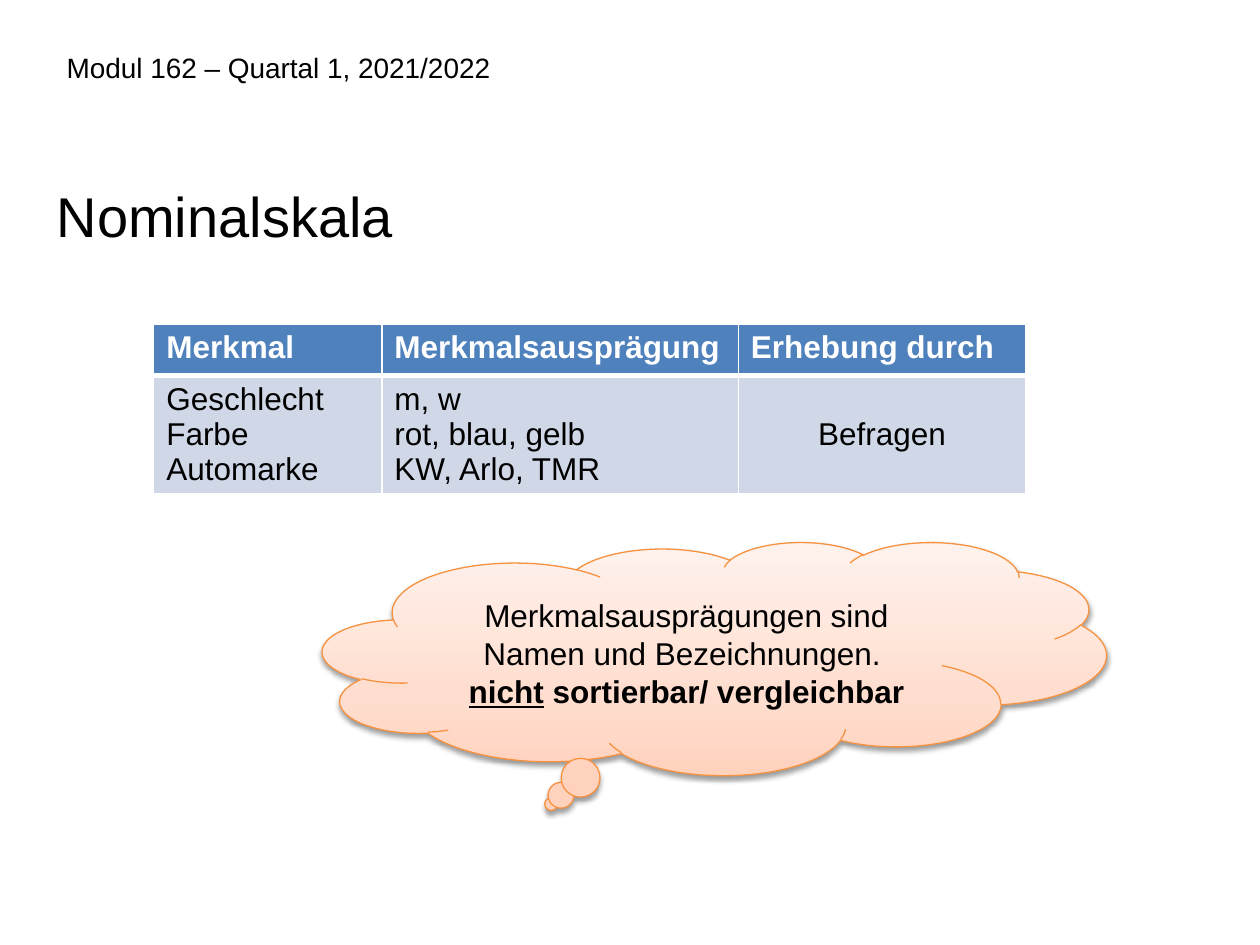
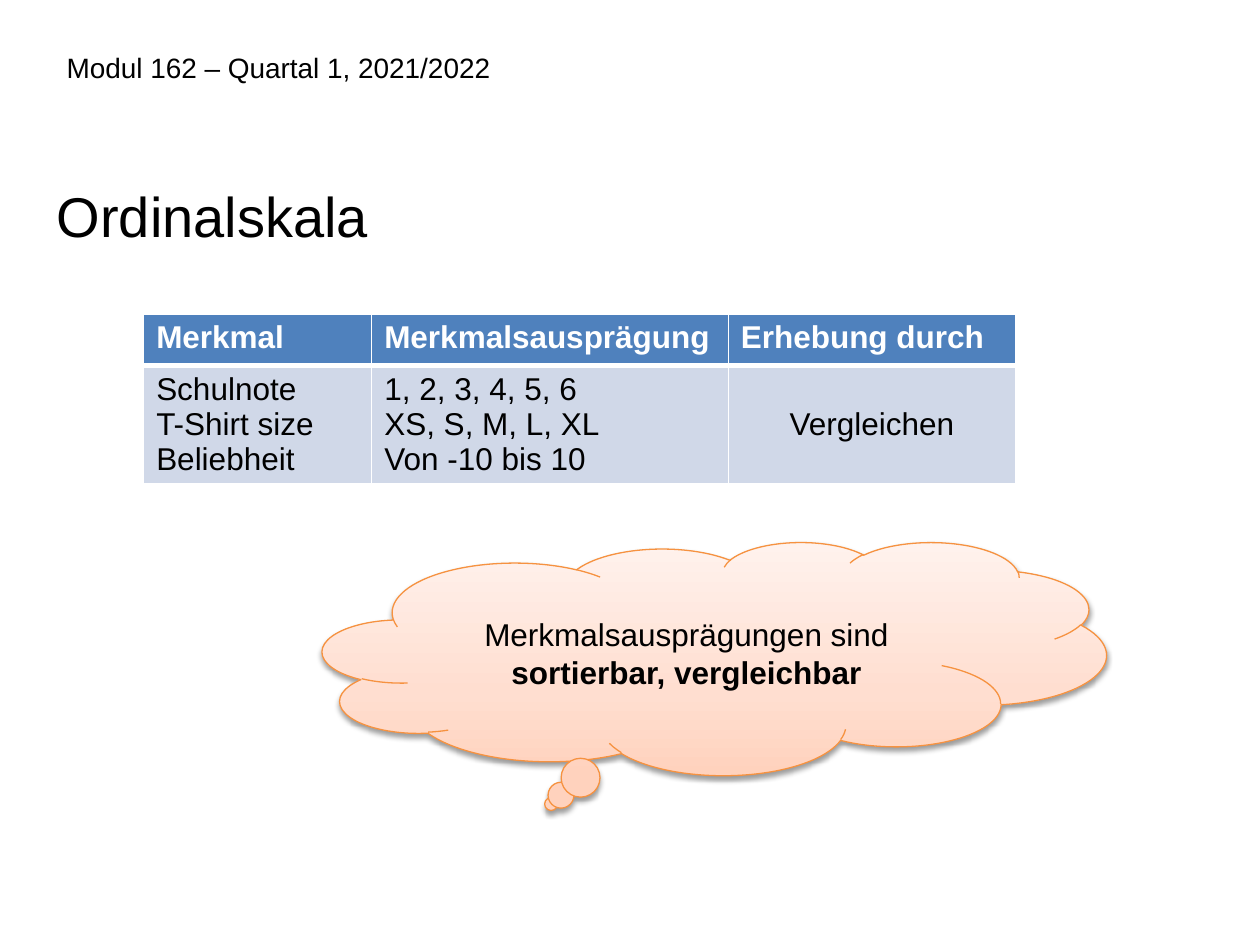
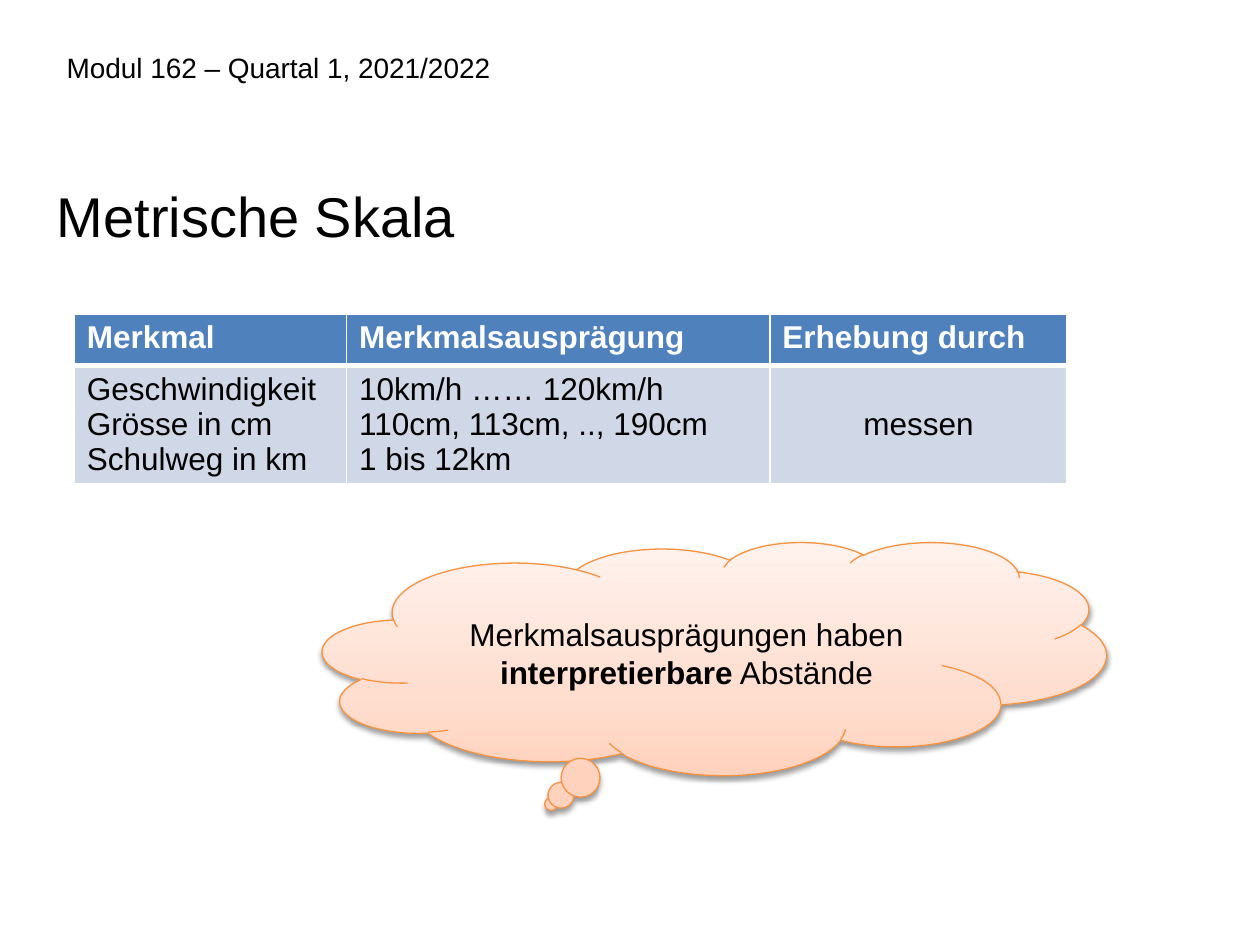
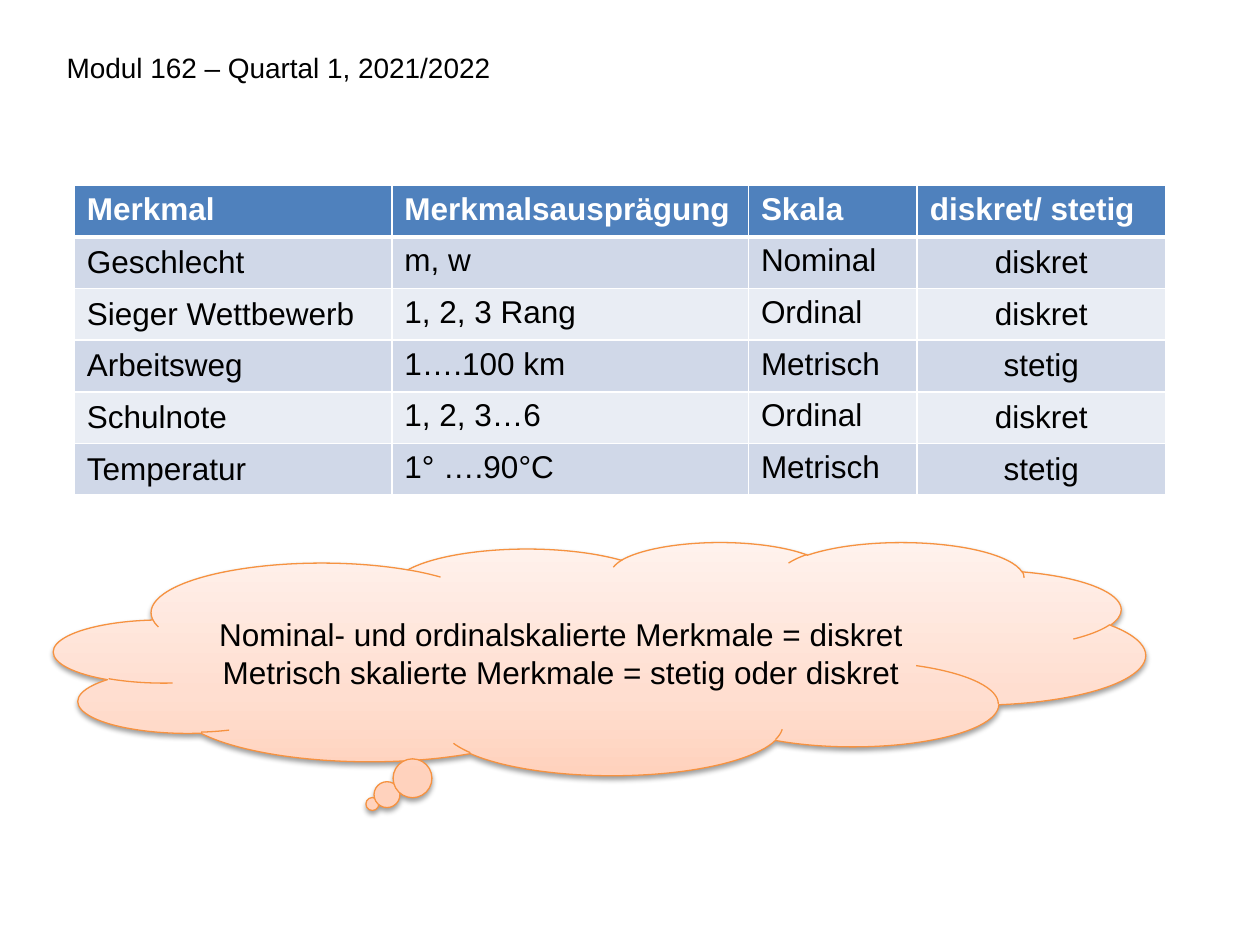
from pptx import Presentation
from pptx.dml.color import RGBColor
from pptx.enum.shapes import MSO_SHAPE
from pptx.enum.text import MSO_ANCHOR, PP_ALIGN
from pptx.oxml import parse_xml
from pptx.oxml.ns import nsdecls, qn
from pptx.util import Inches, Pt

FONT = "Arial"
COLORS = {
    "text": "000000", "white": "FFFFFF", "head": "4F81BD",
    "odd": "D0D8E8", "even": "E9EDF4", "edge": "F69240",
}
CLOUD_STOPS = [(0, "FFD2BD"), (35, "FFDED0"), (100, "FFF2ED")]
HEADER = "Modul 162 – Quartal 1, 2021/2022"
ROW = 0.41
CLOUD_BOX = (2.56, 4.3, 6.22, 1.85)
HEADS = ["Merkmal", "Merkmalsausprägung", "Erhebung durch"]

SCALES = [
    {"title": "Nominalskala", "at": (1.22, 2.57), "cols": [1.81, 2.83, 2.28],
     "row": ["Geschlecht\vFarbe\vAutomarke",
             "m, w\nrot, blau, gelb\nKW, Arlo, TMR", "Befragen"],
     "cloud": [[("Merkmalsausprägungen sind Namen und Bezeichnungen. \v", ""),
                ("nicht", "bu"), (" sortierbar/ vergleichbar", "b")]]},
    {"title": "Ordinalskala", "at": (1.14, 2.49), "cols": [1.81, 2.83, 2.28],
     "row": ["Schulnote\vT-Shirt size\vBeliebheit",
             "1, 2, 3, 4, 5, 6\nXS, S, M, L, XL\nVon -10 bis 10", "Vergleichen"],
     "cloud": [[("Merkmalsausprägungen sind ", ""),
                ("sortierbar, vergleichbar", "b")]]},
    {"title": "Metrische Skala", "at": (0.59, 2.49), "cols": [2.16, 3.36, 2.36],
     "row": ["Geschwindigkeit\vGrösse in cm\nSchulweg in km",
             "10km/h …… 120km/h\n110cm, 113cm, .., 190cm\n1 bis 12km", "messen"],
     "cloud": [[("Merkmalsausprägungen haben ", ""),
                ("interpretierbare", "b"), (" Abstände", "")]]},
]
SUMMARY = [
    ["Merkmal", "Merkmalsausprägung", "Skala", "diskret/ stetig"],
    ["Geschlecht", "m, w", "Nominal", "diskret"],
    ["Sieger Wettbewerb", "1, 2, 3 Rang", "Ordinal", "diskret"],
    ["Arbeitsweg", "1….100 km", "Metrisch", "stetig"],
    ["Schulnote", "1, 2, 3…6", "Ordinal", "diskret"],
    ["Temperatur", "1° ….90°C", "Metrisch", "stetig"],
]
SUMMARY_CLOUD = [
    [("Nominal- und ordinalskalierte Merkmale = diskret", "")],
    [("Metrisch skalierte Merkmale = stetig oder diskret", "")],
]


def color(name):
    """Look up a named colour."""
    return RGBColor.from_string(COLORS[name])


def style(run, size=18, tint="text", bold=False):
    """Format one run in the deck font."""
    font = run.font
    font.name, font.size, font.bold = FONT, Pt(size), bold
    font.color.rgb = color(tint)


def add_header(slide, master):
    """Set the module line once, on the master."""
    box = slide.shapes.add_textbox(
        Inches(0.43), Inches(0.13), Inches(7.8), Inches(0.67))
    box.text_frame.word_wrap = True
    box.text_frame.text = HEADER
    line = box.text_frame.paragraphs[0]
    line.line_spacing = Pt(35)
    style(line.runs[0], 16)
    box.element.find(".//" + qn("p:cNvPr")).set("id", "20")
    master.shapes.element.append(box.element)


def place_title(layout):
    """Move the title of a layout to its shared place."""
    title = next(iter(layout.placeholders))
    title.left, title.top = Inches(0.35), Inches(1.39)
    title.width, title.height = Inches(9.07), Inches(1.02)


def fill_title(slide, text):
    """Write the slide title."""
    frame = slide.shapes.title.text_frame
    frame.text = text
    frame.vertical_anchor = MSO_ANCHOR.TOP
    line = frame.paragraphs[0]
    line.alignment = PP_ALIGN.LEFT
    line.space_before = Pt(5)
    style(line.runs[0], 32)


def add_borders(cell, low):
    """Draw white cell borders, the bottom one low points wide."""
    props = cell._tc.get_or_add_tcPr()
    for i, (side, wide) in enumerate(
            [("lnL", 1), ("lnR", 1), ("lnT", 1), ("lnB", low)]):
        props.insert(i, parse_xml(
            f'<a:{side} {nsdecls("a")} w="{Pt(wide)}"><a:solidFill>'
            f'<a:srgbClr val="{COLORS["white"]}"/></a:solidFill></a:{side}>'))


def add_grid(slide, at, height, cols, rows, middle):
    """Add a banded table; columns in middle are centred vertically."""
    frame = slide.shapes.add_table(
        len(rows), len(cols), Inches(at[0]), Inches(at[1]),
        Inches(sum(cols)), Inches(height))
    table = frame.table
    for col, width in zip(table.columns, cols):
        col.width = Inches(width)
    for r, texts in enumerate(rows):
        table.rows[r].height = Inches(ROW)
        head = r == 0
        band = "head" if head else ("odd" if r % 2 else "even")
        for c, text in enumerate(texts):
            cell = table.cell(r, c)
            cell.text_frame.text = text
            cell.fill.solid()
            cell.fill.fore_color.rgb = color(band)
            add_borders(cell, 3 if head else 1)
            if not head and c in middle:
                cell.vertical_anchor = MSO_ANCHOR.MIDDLE
            for line in cell.text_frame.paragraphs:
                if not head and c == len(cols) - 1:
                    line.alignment = PP_ALIGN.CENTER
                for run in line.runs:
                    style(run, tint="white" if head else "text", bold=head)
    frame.height = Inches(height)


def paint_cloud(cloud):
    """Give the cloud its gradient, outline and soft shadow."""
    cloud.fill.gradient()
    cloud.fill.gradient_angle = 90
    stops = cloud.element.find(".//" + qn("a:gsLst"))
    for stop in list(stops):
        stops.remove(stop)
    for pos, tint in CLOUD_STOPS:
        stops.append(parse_xml(
            f'<a:gs {nsdecls("a")} pos="{pos * 1000}">'
            f'<a:srgbClr val="{tint}"/></a:gs>'))
    cloud.line.color.rgb = color("edge")
    cloud.line.width = Pt(0.75)
    cloud.shadow.inherit = False
    cloud.element.find(".//" + qn("a:effectLst")).append(parse_xml(
        f'<a:outerShdw {nsdecls("a")} blurRad="{Pt(3.1)}" dist="{Pt(1.6)}" '
        f'dir="5400000" rotWithShape="0"><a:srgbClr val="{COLORS["text"]}">'
        '<a:alpha val="38000"/></a:srgbClr></a:outerShdw>'))


def add_cloud(slide, box, lines):
    """Add a thought cloud; each line is a list of (text, flags)."""
    cloud = slide.shapes.add_shape(
        MSO_SHAPE.CLOUD_CALLOUT, *[Inches(n) for n in box])
    paint_cloud(cloud)
    frame = cloud.text_frame
    frame.word_wrap = True
    frame.vertical_anchor = MSO_ANCHOR.MIDDLE
    for i, parts in enumerate(lines):
        line = frame.add_paragraph() if i else frame.paragraphs[0]
        line.alignment = PP_ALIGN.CENTER
        for text, flags in parts:
            run = line.add_run()
            run.text = text.rstrip("\v")
            style(run, bold="b" in flags)
            if "u" in flags:
                run.font.underline = True
            if text.endswith("\v"):
                line.add_line_break()


def add_scale(deck, layout, scale):
    """Build a slide for one scale: title, table, cloud."""
    slide = deck.slides.add_slide(layout)
    fill_title(slide, scale["title"])
    add_grid(slide, scale["at"], 1.41, scale["cols"],
             [HEADS, scale["row"]], {2})
    add_cloud(slide, CLOUD_BOX, scale["cloud"])
    return slide


def add_summary(deck, layout):
    """Build the closing slide: wide table and wide cloud."""
    slide = deck.slides.add_slide(layout)
    add_grid(slide, (0.59, 1.47), 2.43, [2.52, 2.83, 1.34, 1.97],
             SUMMARY, {0, 3})
    add_cloud(slide, (0.43, 4.3, 8.66, 1.85), SUMMARY_CLOUD)


def main():
    """Build and save the deck."""
    deck = Presentation()
    deck.slide_width, deck.slide_height = Inches(10), Inches(7.5)
    titled, blank = deck.slide_layouts[5], deck.slide_layouts[6]
    place_title(titled)
    slides = [add_scale(deck, titled, scale) for scale in SCALES]
    add_header(slides[0], deck.slide_master)
    add_summary(deck, blank)
    deck.save("out.pptx")


main()
